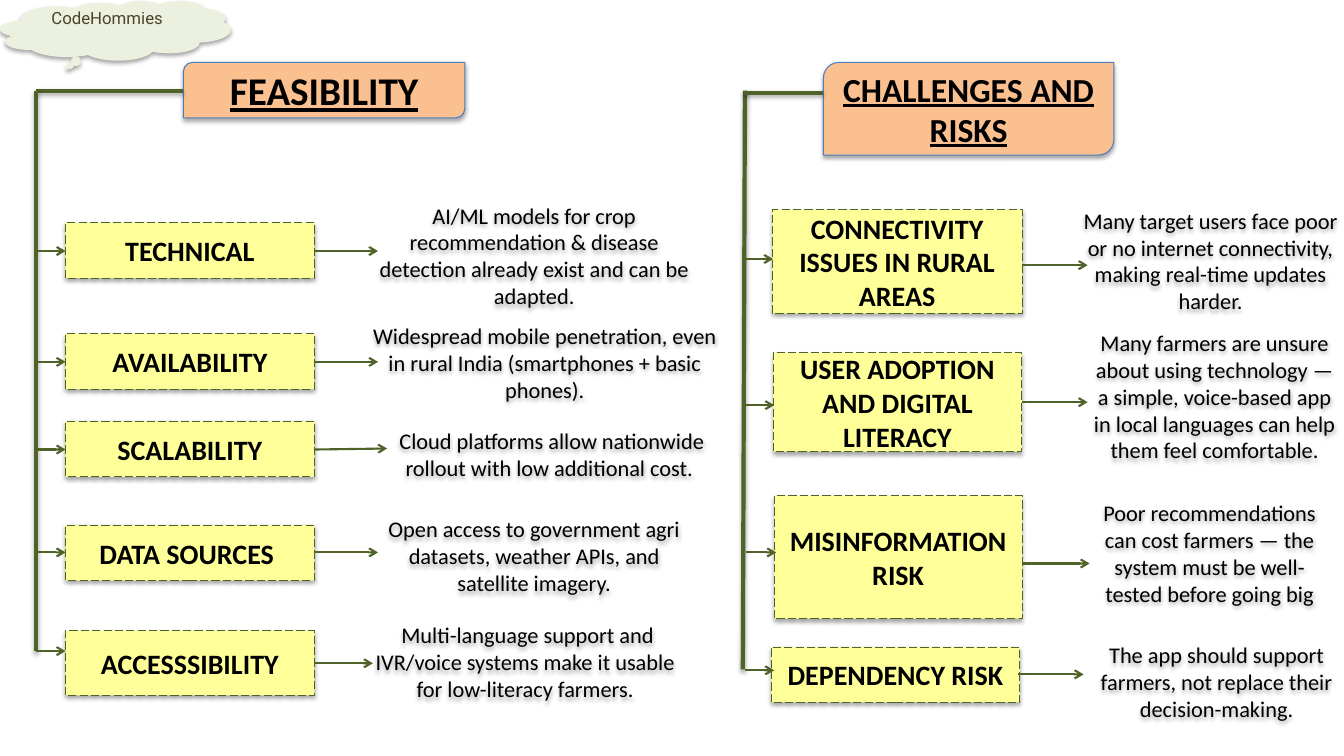
from lxml.etree import SubElement
from pptx import Presentation
from pptx.dml.color import RGBColor
from pptx.enum.dml import MSO_LINE
from pptx.enum.shapes import MSO_CONNECTOR, MSO_SHAPE
from pptx.enum.text import MSO_ANCHOR, PP_ALIGN
from pptx.oxml.ns import qn
from pptx.util import Pt

COLORS = {
    "ink": "000000", "title": "FAC090", "edge": "4B7EBC", "box": "FFFF99",
    "green": "4F6228", "cloud": "EBF1DE", "team": "4A452A",
}
BODY = {"name": "Calibri", "size": Pt(16), "bold": False}
LABEL = {"name": "Calibri", "size": Pt(20), "bold": True}
TITLE = {"name": "Calibri", "size": Pt(28), "bold": True, "underline": True}
TEAM = {"name": "Roboto", "size": Pt(12), "bold": False}


class Board:
    """Draw styled elements, measured in points, on one slide."""

    def __init__(self, deck):
        self.slide = deck.slides.add_slide(deck.slide_layouts[6])
        self.shapes = self.slide.shapes

    def color(self, name):
        return RGBColor.from_string(COLORS[name])

    def shade(self, effects):
        shadow = SubElement(effects, qn("a:outerShdw"), blurRad="40000",
                            dist="23000", dir="5400000", rotWithShape="0")
        black = SubElement(shadow, qn("a:srgbClr"), val=COLORS["ink"])
        SubElement(black, qn("a:alpha"), val="35000")

    def letter(self, shape, text, style, ink="ink"):
        shape.shadow.inherit = False
        self.shade(shape.element.spPr.find(qn("a:effectLst")))
        frame = shape.text_frame
        frame.word_wrap = True
        frame.vertical_anchor = MSO_ANCHOR.MIDDLE
        para = frame.paragraphs[0]
        para.alignment = PP_ALIGN.CENTER
        run = para.add_run()
        run.text = text
        for key, value in style.items():
            setattr(run.font, key, value)
        run.font.color.rgb = self.color(ink)

    def block(self, kind, area, text, style, fill, edge, dash=None):
        shape = self.shapes.add_shape(kind, *map(Pt, area))
        shape.fill.solid()
        shape.fill.fore_color.rgb = self.color(fill)
        shape.line.color.rgb = self.color(edge)
        shape.line.width = Pt(0.75)
        shape.line.dash_style = dash
        self.letter(shape, text, style)

    def title(self, area, text, size):
        self.block(MSO_SHAPE.ROUND_2_DIAG_RECTANGLE, area, text,
                   TITLE | {"size": Pt(size)}, "title", "edge")

    def label(self, area, text):
        self.block(MSO_SHAPE.RECTANGLE, area, text, LABEL, "box", "green",
                   MSO_LINE.LONG_DASH)

    def note(self, area, text):
        self.letter(self.shapes.add_textbox(*map(Pt, area)), text, BODY)

    def cloud(self, area, text):
        shape = self.shapes.add_shape(MSO_SHAPE.CLOUD_CALLOUT, *map(Pt, area))
        shape.fill.solid()
        shape.fill.fore_color.rgb = self.color("cloud")
        shape.line.fill.background()
        self.letter(shape, text, TEAM, "team")
        shape.text_frame.margin_bottom = Pt(20.6)

    def line(self, ends, width):
        line = self.shapes.add_connector(MSO_CONNECTOR.STRAIGHT, *map(Pt, ends))
        line.line.color.rgb = self.color("green")
        line.line.width = Pt(width)
        return line.element.spPr, SubElement(line.element.spPr, qn("a:effectLst"))

    def trunk(self, *ends):
        self.shade(self.line(ends, 3)[1])

    def arrow(self, *ends):
        props = self.line(ends, 1.5)[0]
        SubElement(props.find(qn("a:ln")), qn("a:tailEnd"), type="arrow")

    def row(self, text, box, inlet, outlet, note, area):
        self.label(box, text)
        self.arrow(*inlet)
        self.note(area, note)
        self.arrow(*outlet)


FACTORS = [
    ("TECHNICAL", 159.1, 39.6, 179.3, (224.6, 179.3, 270, 179.3),
     "AI/ML models for crop recommendation & disease detection already exist and can be adapted.",
     (259.2, 151.2, 244.8, 62.6)),
    ("AVAILABILITY", 238.3, 39.6, 258.5, (224.6, 258.5, 270, 258.5),
     "Widespread mobile penetration, even in rural India (smartphones + basic phones).",
     (259.2, 227.5, 259.9, 62.6)),
    ("SCALABILITY", 301, 39.6, 321.1, (224.6, 321.1, 276.5, 320.4),
     " Cloud platforms allow nationwide rollout with low additional cost.",
     (270, 295.2, 244.8, 58.3)),
    ("DATA SOURCES ", 375.1, 39.6, 394.6, (224.6, 394.6, 270, 394.6),
     "Open access to government agri datasets, weather APIs, and satellite imagery.",
     (259.2, 375.1, 244.8, 43.9)),
    ("ACCESSSIBILITY", 450.7, 46.1, 465.1, (224.6, 473.8, 266.4, 473.8),
     " Multi-language support and IVR/voice systems make it usable for low-literacy farmers.",
     (259.2, 450.7, 231.8, 43.9)),
]
RISKS = [
    ("CONNECTIVITY ISSUES IN RURAL AREAS", (551.5, 149.8, 178.6, 74.2),
     (531.4, 185, 552.2, 185), (730.1, 189.4, 776.9, 189.4),
     "Many target users face poor or no internet connectivity, making real-time updates harder.",
     (761, 126, 207.4, 120.2)),
    ("USER ADOPTION AND DIGITAL LITERACY", (552.2, 252, 177.8, 70.6),
     (532.8, 289.4, 553, 289.4), (730.1, 287.3, 776.9, 287.3),
     "Many farmers are unsure about using technology — a simple, voice-based app "
     "in local languages can help them feel comfortable.",
     (770.4, 236.9, 194.4, 92.2)),
    ("MISINFORMATION RISK", (553, 354.2, 177.1, 87.8),
     (532.8, 394.6, 554.4, 394.6), (730.8, 402.5, 778.3, 402.5),
     "Poor recommendations can cost farmers — the system must be well-tested before going big",
     (769, 336.2, 190.1, 117.4)),
    ("DEPENDENCY RISK", (550.8, 462.2, 177.8, 39.6),
     (532.1, 478.8, 553, 478.8), (727.2, 481.7, 774, 481.7),
     "The app should support farmers, not replace their decision-making.",
     (778.3, 447.1, 181.4, 79.2)),
]


def main():
    deck = Presentation()
    deck.slide_width, deck.slide_height = Pt(960), Pt(540)
    board = Board(deck)

    board.title((131, 44.6, 201, 39.6), "FEASIBILITY", 28)
    board.trunk(26, 64.8, 131, 64.8)
    board.trunk(26, 64.8, 26, 465.1)
    for text, top, height, level, outlet, note, area in FACTORS:
        board.row(text, (46.8, top, 177.8, height),
                  (26, level, 46.8, level), outlet, note, area)

    board.title((588.2, 44.6, 207.4, 66.2), "CHALLENGES AND RISKS", 24)
    board.trunk(532.1, 64.8, 530.6, 478.1)
    board.trunk(531.4, 66.2, 588.2, 66.2)
    for risk in RISKS:
        board.row(*risk)

    board.cloud((0, 0.7, 164.9, 42.5), "CodeHommies")
    deck.save("out.pptx")


if __name__ == "__main__":
    main()
